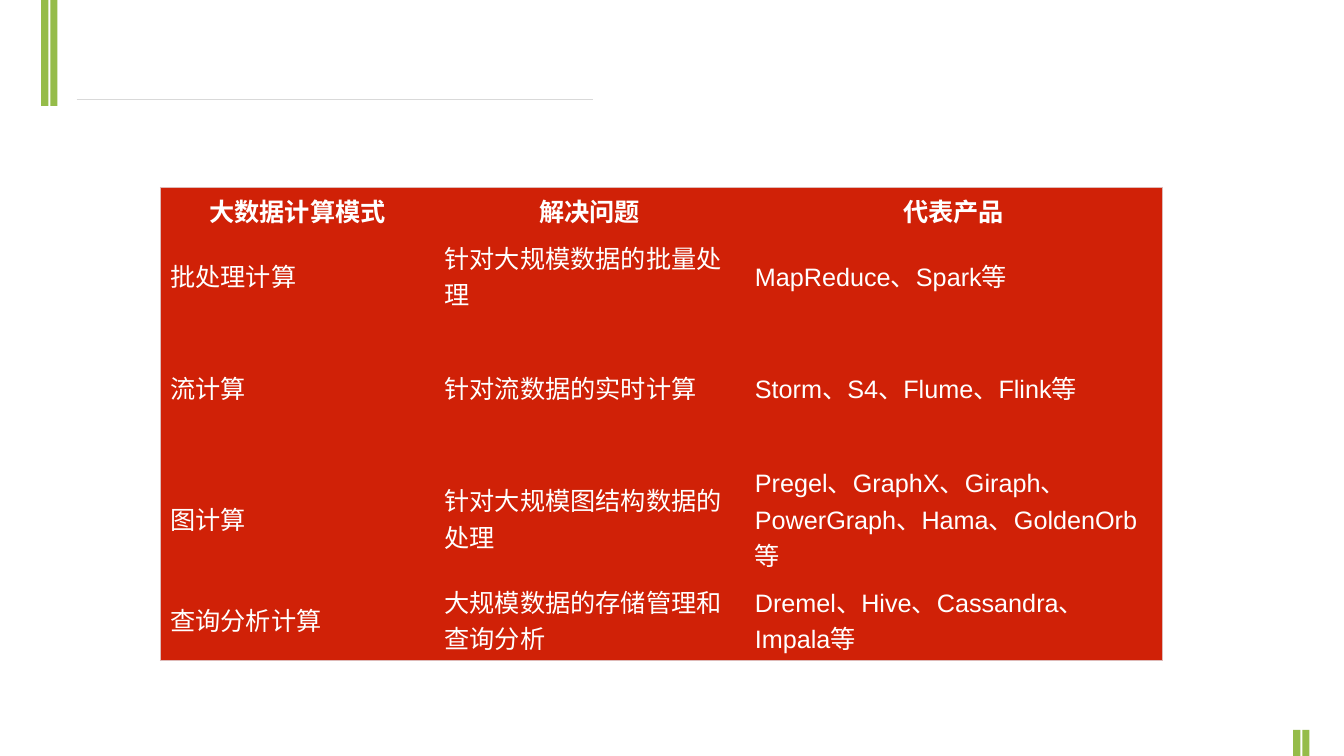
from lxml.etree import SubElement
from pptx import Presentation
from pptx.dml.color import RGBColor
from pptx.enum.shapes import MSO_CONNECTOR, MSO_SHAPE
from pptx.enum.text import MSO_ANCHOR, PP_ALIGN
from pptx.oxml.ns import qn
from pptx.util import Cm, Pt

GREEN, GRAY, RED, PINK, WHITE = "95BC49", "D9D9D9", "D02107", "DEBAB8", "FFFFFF"
COLS = [6.91, 7.82, 10.52]
ROWS = [1.14, 1.91, 3.56, 2.74, 1.91]
CELLS = [
    ["大数据计算模式", "解决问题", "代表产品"],
    ["批处理计算", "针对大规模数据的批量处理", "MapReduce、Spark等"],
    ["流计算", "针对流数据的实时计算", "Storm、S4、Flume、Flink等"],
    ["图计算", "针对大规模图结构数据的处理",
     "Pregel、GraphX、Giraph、PowerGraph、Hama、GoldenOrb等"],
    ["查询分析计算", "大规模数据的存储管理和查询分析",
     "Dremel、Hive、Cassandra、Impala等"],
]


def color(code):
    return RGBColor.from_string(code)


class Deck:
    """Draw styled elements on the current slide."""

    def __init__(self, font, size):
        self.font, self.size = font, Pt(size)
        self.show = Presentation()
        self.show.slide_width, self.show.slide_height = Cm(33.87), Cm(19.05)
        self.slide = self.show.slides.add_slide(self.show.slide_layouts[6])

    def bar(self, left, top, width, height):
        shape = self.slide.shapes.add_shape(
            MSO_SHAPE.RECTANGLE, Cm(left), Cm(top), Cm(width), Cm(height))
        shape.shadow.inherit = False
        shape.fill.solid()
        shape.fill.fore_color.rgb = color(GREEN)
        shape.line.fill.background()

    def rule(self, left, right, top):
        line = self.slide.shapes.add_connector(
            MSO_CONNECTOR.STRAIGHT, Cm(left), Cm(top), Cm(right), Cm(top))
        line.line.color.rgb = color(GRAY)
        line.line.width = Pt(0.75)
        SubElement(line._element.spPr, qn("a:effectLst"))

    def edge(self, cell, sides):
        props = cell._tc.get_or_add_tcPr()
        for side, outer in sides.items():
            line = SubElement(props, qn(f"a:ln{side}"), w=str(Pt(0.75)))
            if outer:
                fill = SubElement(line, qn("a:solidFill"))
                SubElement(fill, qn("a:srgbClr"), val=PINK)
            else:
                SubElement(line, qn("a:noFill"))

    def label(self, cell, text, head):
        cell.vertical_anchor = MSO_ANCHOR.MIDDLE
        cell.fill.solid()
        cell.fill.fore_color.rgb = color(RED)
        para = cell.text_frame.paragraphs[0]
        para.alignment = PP_ALIGN.CENTER if head else PP_ALIGN.LEFT
        run = para.add_run()
        run.text = text
        run.font.name, run.font.size, run.font.bold = self.font, self.size, head
        run.font.color.rgb = color(WHITE)

    def table(self, left, top, cols, rows, cells):
        grid = self.slide.shapes.add_table(
            len(rows), len(cols), Cm(left), Cm(top),
            Cm(sum(cols)), Cm(sum(rows))).table
        grid.first_row = grid.horz_banding = False
        for col, width in zip(grid.columns, cols):
            col.width = Cm(width)
        for row, height in zip(grid.rows, rows):
            row.height = Cm(height)
        for r, texts in enumerate(cells):
            for c, text in enumerate(texts):
                cell = grid.cell(r, c)
                self.edge(cell, {"L": c == 0, "R": c == len(cols) - 1,
                                 "T": r == 0, "B": r == len(rows) - 1})
                self.label(cell, text, r == 0)


def main():
    deck = Deck("Arial", 18)
    for left, top, height in [(1.04, 0, 2.67), (32.59, 18.39, 0.66)]:
        for step in range(2):
            deck.bar(left + 0.23 * step, top, 0.18, height)
    deck.rule(1.93, 14.94, 2.51)
    deck.table(4.04, 4.72, COLS, ROWS, CELLS)
    deck.show.save("out.pptx")


if __name__ == "__main__":
    main()
